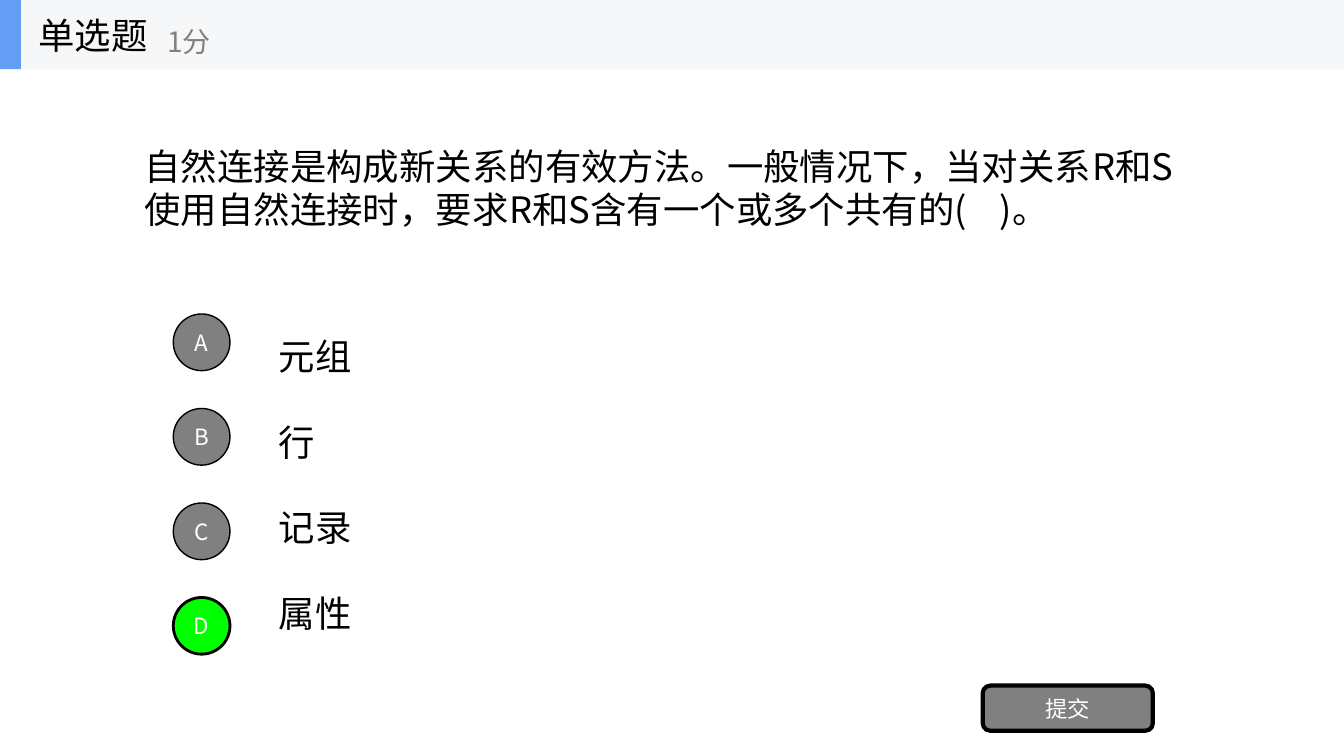
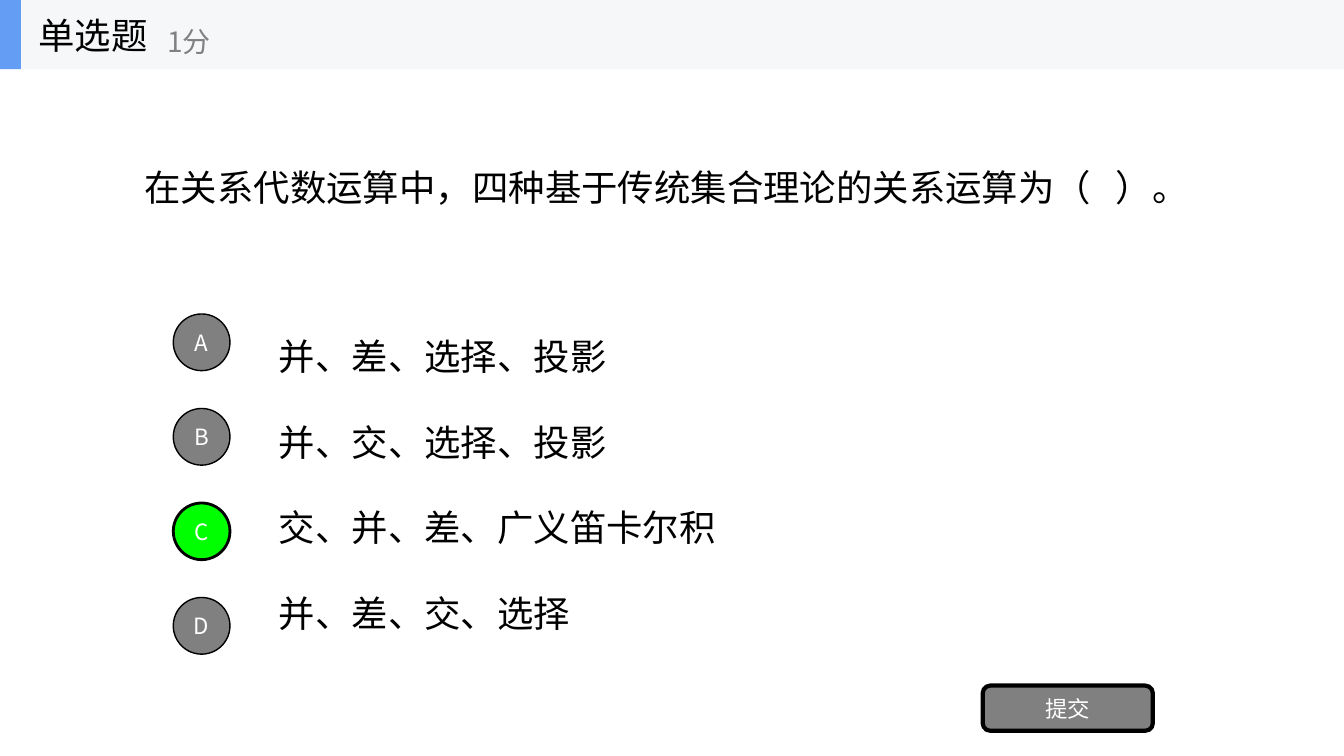
from dataclasses import dataclass

from lxml import etree
from pptx import Presentation
from pptx import util as u
from pptx.dml.color import RGBColor
from pptx.enum import shapes, text
from pptx.oxml.ns import qn

EMU_PER_PX = 9525
FONT = "Noto Sans CJK SC"
COLORS = {
    "black": "000000",
    "white": "FFFFFF",
    "gray": "808080",
    "correct": "00FF00",
    "band": "F6F7F8",
    "accent": "639EF4",
}
SLIDE_WIDTH, SLIDE_HEIGHT = 1280, 720
HEADER_HEIGHT = 66
OPTION_TOP, OPTION_HEIGHT, OPTION_PITCH = 293, 67, 90
BADGE_LEFT, BADGE_SIZE = 165, 54
OPTION_GAP_PT = 30
LETTERS = "ABCD"


@dataclass(frozen=True)
class Box:
    left: int
    top: int
    width: int
    height: int

    def emu(self) -> list[u.Emu]:
        return [px(n) for n in (self.left, self.top, self.width, self.height)]


@dataclass(frozen=True)
class Question:
    prompt: str
    options: tuple[str, ...]
    answer: str


QUESTIONS = (
    Question(
        "自然连接是构成新关系的有效方法。一般情况下，当对关系R和S使用自然连接时，要求R和S含有一个或多个共有的(    )。",
        ("元组", "行", "记录", "属性"),
        "D",
    ),
    Question(
        "在关系代数运算中，四种基于传统集合理论的关系运算为（   ）。",
        ("并、差、选择、投影", "并、交、选择、投影", "交、并、差、广义笛卡尔积", "并、差、交、选择"),
        "C",
    ),
)


def px(length: int) -> u.Emu:
    return u.Emu(length * EMU_PER_PX)


def rgb(color: str) -> RGBColor:
    return RGBColor.from_string(COLORS[color])


def add_run(paragraph, content: str, size: int, color: str) -> None:
    run = paragraph.add_run()
    run.text = content
    run.font.size = u.Pt(size)
    run.font.color.rgb = rgb(color)
    run.font.name = FONT
    etree.SubElement(run.font._element, qn("a:ea"), typeface=FONT)


def set_frame(shape, wrap: bool = True):
    frame = shape.text_frame
    frame.auto_size = text.MSO_AUTO_SIZE.NONE
    frame.word_wrap = wrap
    frame.vertical_anchor = text.MSO_ANCHOR.MIDDLE
    return frame


def place(shape, box: Box) -> None:
    shape.left, shape.top, shape.width, shape.height = box.emu()


def add_block(slide, kind, box: Box, fill: str, line_width: int = 0, label: str = ""):
    shape = slide.shapes.add_shape(kind, *box.emu())
    shape.shadow.inherit = False
    shape.fill.solid()
    shape.fill.fore_color.rgb = rgb(fill)
    if line_width:
        shape.line.color.rgb = rgb("black")
        shape.line.width = u.Pt(line_width)
    else:
        shape.line.fill.background()
    if label:
        frame = set_frame(shape, wrap=False)
        paragraph = frame.paragraphs[0]
        paragraph.alignment = text.PP_ALIGN.CENTER
        add_run(paragraph, label, 16, "white")
    return shape


def add_label(slide, box: Box, content: str, size: int, color: str) -> None:
    frame = set_frame(slide.shapes.add_textbox(*box.emu()), wrap=False)
    add_run(frame.paragraphs[0], content, size, color)


def add_header(slide) -> None:
    rectangle = shapes.MSO_SHAPE.RECTANGLE
    add_block(slide, rectangle, Box(0, 0, SLIDE_WIDTH, HEADER_HEIGHT), "band")
    add_block(slide, rectangle, Box(0, 0, 20, HEADER_HEIGHT), "accent")
    add_label(slide, Box(27, 0, 200, HEADER_HEIGHT), "单选题", 26, "black")
    add_label(slide, Box(150, 12, 240, 54), "1分", 20, "gray")


def fill_prompt(slide, prompt: str) -> None:
    title = slide.shapes.title
    place(title, Box(128, HEADER_HEIGHT, 1024, 225))
    paragraph = set_frame(title).paragraphs[0]
    paragraph.alignment = text.PP_ALIGN.LEFT
    add_run(paragraph, prompt, 26, "black")


def fill_options(slide, options: tuple[str, ...]) -> None:
    """Write the options as one list, spaced to match the badges."""
    body = slide.placeholders[1]
    height = OPTION_HEIGHT + OPTION_PITCH * (len(options) - 1)
    place(body, Box(256, OPTION_TOP, 896, height))
    frame = set_frame(body)
    for index, option in enumerate(options):
        paragraph = frame.add_paragraph() if index else frame.paragraphs[0]
        properties = paragraph._p.get_or_add_pPr()
        properties.set("marL", "0")
        properties.set("indent", "0")
        etree.SubElement(properties, qn("a:buNone"))
        paragraph.space_before = u.Pt(OPTION_GAP_PT if index else 0)
        add_run(paragraph, option, 26, "black")


def add_badges(slide, answer: str) -> None:
    for index, letter in enumerate(LETTERS):
        top = OPTION_TOP + (OPTION_HEIGHT - BADGE_SIZE) // 2 + index * OPTION_PITCH
        fill, line_width = ("correct", 2) if letter == answer else ("gray", 1)
        box = Box(BADGE_LEFT, top, BADGE_SIZE, BADGE_SIZE)
        add_block(slide, shapes.MSO_SHAPE.OVAL, box, fill, line_width, letter)


def add_question_slide(presentation, question: Question) -> None:
    slide = presentation.slides.add_slide(presentation.slide_layouts[1])
    fill_prompt(slide, question.prompt)
    fill_options(slide, question.options)
    add_badges(slide, question.answer)
    button = Box(936, 653, 162, 43)
    add_block(slide, shapes.MSO_SHAPE.ROUNDED_RECTANGLE, button, "gray", 3, "提交")
    add_header(slide)


def main() -> None:
    presentation = Presentation()
    presentation.slide_width = px(SLIDE_WIDTH)
    presentation.slide_height = px(SLIDE_HEIGHT)
    for question in QUESTIONS:
        add_question_slide(presentation, question)
    presentation.save("out.pptx")


if __name__ == "__main__":
    main()
